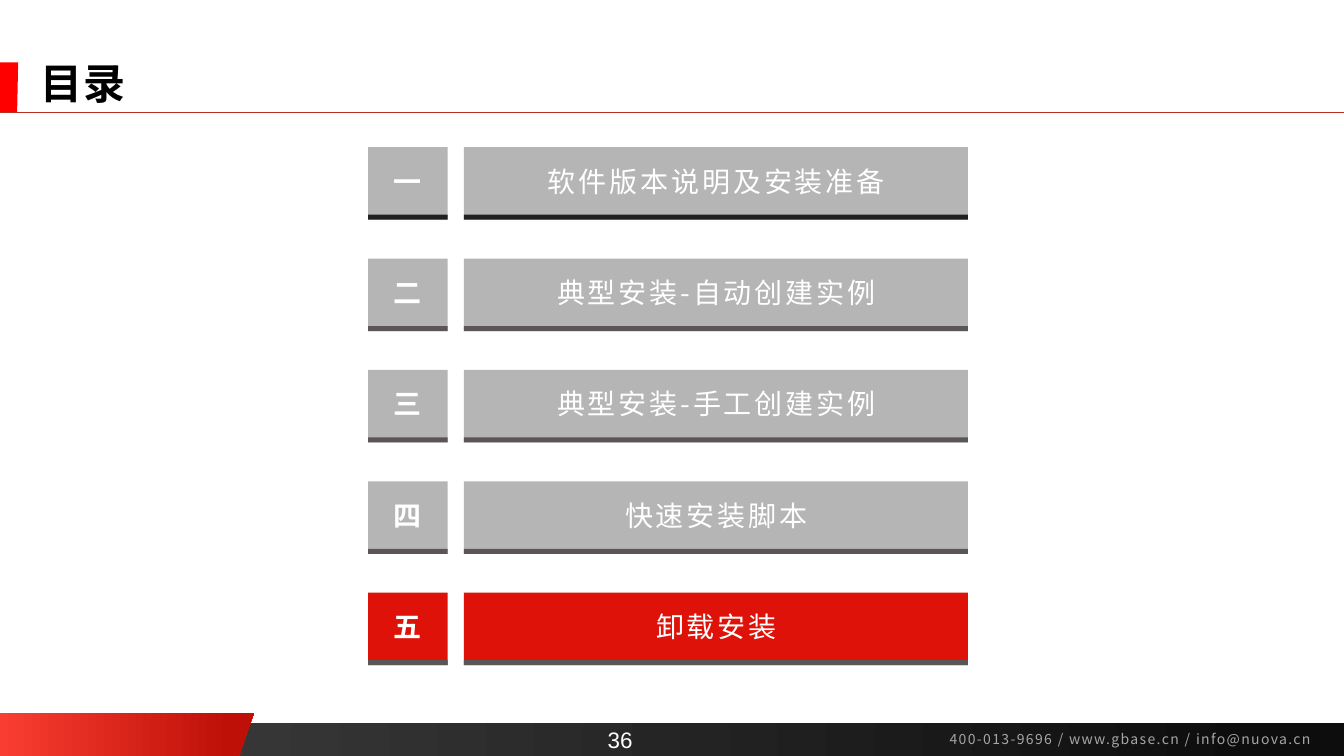
from lxml import etree
from pptx import Presentation
from pptx.dml.color import RGBColor
from pptx.enum.shapes import MSO_CONNECTOR, MSO_SHAPE
from pptx.enum.text import MSO_ANCHOR, PP_ALIGN
from pptx.oxml.ns import qn
from pptx.util import Inches, Pt

RECTANGLE = MSO_SHAPE.RECTANGLE
STRAIGHT = MSO_CONNECTOR.STRAIGHT
LEFT, CENTER = PP_ALIGN.LEFT, PP_ALIGN.CENTER
TOP, MIDDLE, BOTTOM = MSO_ANCHOR.TOP, MSO_ANCHOR.MIDDLE, MSO_ANCHOR.BOTTOM

WIDTH, HEIGHT = 13.33, 7.5
CJK = "Noto Sans CJK SC"
COLORS = {
    "white": "FFFFFF", "black": "000000", "contact": "A6A6A6",
    "bar_start": "404040", "bar_end": "0D0D0D",
    "flag_start": "F93D32", "flag_end": "BE1007",
    "marker": "FF0000", "rule": "B82E24",
    "idle": "B5B5B5", "active": "DE1208",
    "first_edge": "202022", "edge": "5A5656",
}

prs = Presentation()
prs.slide_width, prs.slide_height = Inches(WIDTH), Inches(HEIGHT)
slide = prs.slides.add_slide(prs.slide_layouts[6])
shapes = slide.shapes


def add_text(text, left, top, width, height, size=20, color="white", font=CJK,
             bold=False, spacing=0, align=LEFT, anchor=TOP, wrap=True, line_spacing=1.0):
    box = shapes.add_textbox(Inches(left), Inches(top), Inches(width), Inches(height))
    frame = box.text_frame
    frame.word_wrap = wrap
    frame.vertical_anchor = anchor
    paragraph = frame.paragraphs[0]
    paragraph.alignment = align
    paragraph.line_spacing = line_spacing
    run = paragraph.add_run()
    run.text = text
    run.font.size = Pt(size)
    run.font.bold = bold
    run.font.color.rgb = RGBColor.from_string(COLORS[color])
    run.font.name = font
    properties = run.font._element
    properties.set("spc", str(spacing * 100))
    etree.SubElement(properties, qn("a:ea")).set("typeface", font)


def paint(shape, start, end=None, end_position=1.0):
    shape.shadow.inherit = False
    shape.line.fill.background()
    if end is None:
        shape.fill.solid()
        shape.fill.fore_color.rgb = RGBColor.from_string(COLORS[start])
        return
    shape.fill.gradient()
    shape.fill.gradient_angle = 0
    positions = (0, end_position)
    for stop, position, color in zip(shape.fill.gradient_stops, positions, (start, end)):
        stop.position = position
        stop.color.rgb = RGBColor.from_string(COLORS[color])


footer_top = 7.17
footer = shapes.add_shape(RECTANGLE, 0, Inches(footer_top), Inches(WIDTH),
                          Inches(HEIGHT - footer_top))
paint(footer, "bar_start", "bar_end", 0.94)

slanted_blocks = [
    (7.07, HEIGHT, 2.52, 2.37, ("flag_start", "flag_end", 0.91)),
    (0.62, 1.12, 0.18, 0.17, ("marker",)),
]
for top, bottom, top_right, bottom_right, colors in slanted_blocks:
    outline = shapes.build_freeform(0, Inches(top), scale=1.0)
    outline.add_line_segments([
        (Inches(top_right), Inches(top)),
        (Inches(bottom_right), Inches(bottom)),
        (0, Inches(bottom)),
    ], close=True)
    paint(outline.convert_to_shape(), *colors)

add_text("400-013-9696 / www.gbase.cn / info@nuova.cn", 9.32, 7.2, 3.99, 0.27,
         size=10, color="contact", spacing=1)

title_rule = shapes.add_connector(STRAIGHT, 0, Inches(1.11), Inches(WIDTH), Inches(1.11))
title_rule.line.color.rgb = RGBColor.from_string(COLORS["rule"])
title_rule.line.width = Pt(0.5)
etree.SubElement(title_rule._element.spPr, qn("a:effectLst"))

add_text("36", 5.91, 7.15, 0.48, 0.37, size=16, font="Arial",
         align=CENTER, anchor=BOTTOM, wrap=False)
add_text("目录", 0.3, 0.59, 12.26, 0.53, size=30, color="black", bold=True,
         spacing=1, anchor=MIDDLE, line_spacing=0.9)

chapters = [
    ("一", "软件版本说明及安装准备", "idle", "first_edge"),
    ("二", "典型安装-自动创建实例", "idle", "edge"),
    ("三", "典型安装-手工创建实例", "idle", "edge"),
    ("四", "快速安装脚本", "idle", "edge"),
    ("五", "卸载安装", "active", "edge"),
]
first_row, row_pitch = 1.46, 1.105
tile_height, edge_height = 0.72, 0.05
columns = [(3.65, 0.79), (4.6, 5)]

for index, (number, name, tile_color, edge_color) in enumerate(chapters):
    row_top = first_row + index * row_pitch
    bands = [(row_top, tile_height, tile_color),
             (row_top + tile_height - edge_height, edge_height, edge_color)]
    for band_top, band_height, color in bands:
        for left, width in columns:
            band = shapes.add_shape(RECTANGLE, Inches(left), Inches(band_top),
                                    Inches(width), Inches(band_height))
            paint(band, color)
    text_top = row_top + 0.12
    add_text(number, 3.8, text_top, 0.48, 0.44, bold=True, wrap=False)
    add_text(name, 4.79, text_top, 4.63, 0.44, spacing=2, align=CENTER)

prs.save("out.pptx")
